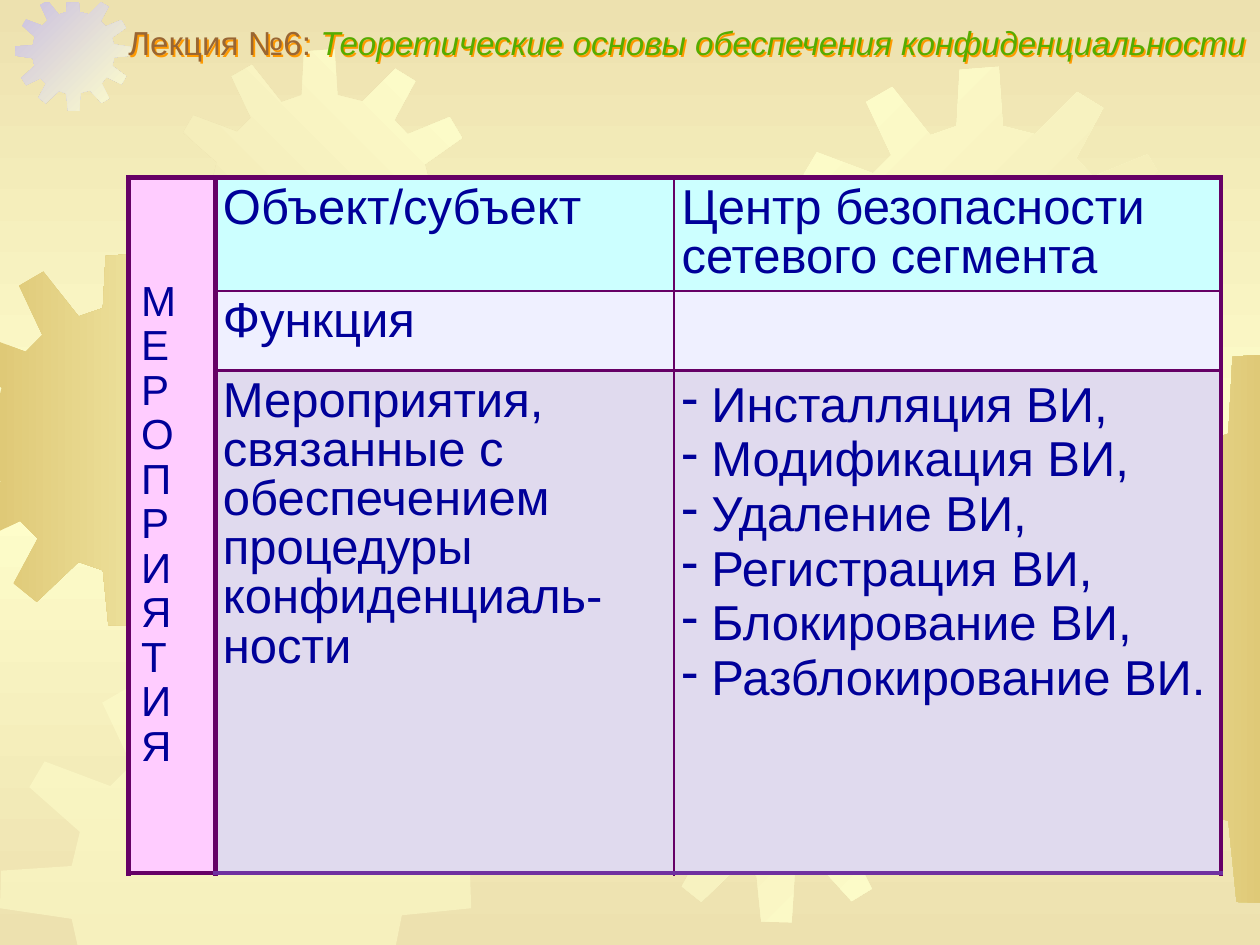
from copy import deepcopy

from lxml import etree
from pptx import Presentation
from pptx.dml.color import RGBColor
from pptx.enum.text import MSO_ANCHOR, PP_ALIGN
from pptx.oxml.ns import qn
from pptx.util import Inches, Pt

MIDDLE, TOP = MSO_ANCHOR.MIDDLE, MSO_ANCHOR.TOP
LEFT = PP_ALIGN.LEFT
CREAM, SAND, GOLD, LILAC = "FFFFCC", "EDE1AF", "DFC977", "CAC0E2"
PLUM, VIOLET, NAVY = "660066", "7030A0", "000099"
BOUNDS = ((0, 0, 1), (0, 10, -1), (1, 0.02, 1), (1, 7.5, -1))
SPAN = 401
TEETH = [
    (255, 67), (223, 59), (219, 0), (180, 3), (177, 59), (151, 68), (113, 20), (87, 35),
    (112, 88), (94, 106), (38, 85), (25, 107), (68, 145), (61, 174), (1, 178), (0, 210),
    (61, 219), (67, 246), (22, 287), (38, 312), (88, 288), (107, 307), (81, 355), (106, 375),
    (151, 332), (177, 341), (183, 400), (222, 401), (226, 339), (259, 330), (299, 374), (325, 358),
    (299, 306), (316, 284), (368, 309), (384, 281), (336, 246), (342, 216), (401, 210), (400, 180),
    (341, 171), (335, 148), (383, 114), (367, 87), (313, 109), (296, 91), (323, 41), (297, 25),
]
GEARS = [
    (-0.49, 2.01, 2.96, (GOLD, CREAM), 0),
    (0.12, -0.04, 0.92, (LILAC, CREAM), 45),
    (1.3, 0.39, 2.48, (SAND, CREAM), 315),
    (2.77, 1.39, 4.01, (CREAM, SAND), 45),
    (0, 5.25, 3.74, (CREAM,), 0),
    (4.91, 4.84, 2.48, (SAND, CREAM), 45),
    (6.18, 0.53, 3.2, (CREAM, SAND), 45),
    (7.82, 2.8, 4.37, (CREAM, GOLD), 0),
]
COLS, ROWS = (0.69, 3.64, 4.34), (0.9, 0.63, 3.99)
FILLS = ("CCFFFF", "EFF0FF", "E0DAEE")
CELLS = [
    ("Объект/субъект", "Центр безопасности сетевого сегмента"),
    ("Функция", ""),
    ("Мероприятия, связанные с обеспечением процедуры конфиденциаль-ности", ""),
]
TASKS = ("Инсталляция", "Модификация", "Удаление", "Регистрация", "Блокирование", "Разблокирование")


def tint(code):
    return RGBColor.from_string(code)


def clip(points, axis, edge, sign):
    kept = []
    for a, b in zip(points, points[1:] + points[:1]):
        da, db = (sign * (p[axis] - edge) for p in (a, b))
        if da >= 0:
            kept.append(a)
        if da * db < 0:
            t = da / (da - db)
            kept.append(tuple(u + t * (v - u) for u, v in zip(a, b)))
    return kept


class Deck:
    """Hold the text style and the current slide, and draw each kind of element."""

    def __init__(self, font):
        self.font = font
        self.show = Presentation()
        self.show.slide_width, self.show.slide_height = Inches(10), Inches(7.5)
        self.slide = self.show.slides.add_slide(self.show.slide_layouts[6])

    def blend(self, fill, node, codes, angle):
        fill.gradient()
        fill.gradient_angle = (360 - angle) % 360
        stops = next(node.iter(qn("a:gsLst")))
        while len(stops) < len(codes):
            stops.append(deepcopy(stops[0]))
        for i, (stop, code) in enumerate(zip(fill.gradient_stops, codes)):
            stop.color.rgb = tint(code)
            stop.position = i / (len(codes) - 1)

    def ground(self, codes, angle):
        self.blend(self.slide.background.fill, self.slide.element, codes, angle)

    def gear(self, left, top, size, codes, angle):
        points = [(left + x * size / SPAN, top + y * size / SPAN) for x, y in TEETH]
        for bound in BOUNDS:
            points = clip(points, *bound)
        spots = [(Inches(x), Inches(y)) for x, y in points]
        form = self.slide.shapes.build_freeform(*spots[0])
        form.add_line_segments(spots[1:], close=True)
        shape = form.convert_to_shape()
        shape.shadow.inherit = False
        shape.line.fill.background()
        if len(codes) > 1:
            self.blend(shape.fill, shape.element, codes, angle)
            return
        shape.fill.solid()
        shape.fill.fore_color.rgb = tint(codes[0])
        color = next(shape.element.spPr.iter(qn("a:srgbClr")))
        etree.SubElement(color, qn("a:alpha"), val="50000")

    def text(self, frame, lines, size, space, mark=None):
        for i, runs in enumerate(lines):
            para = frame.paragraphs[0] if i == 0 else frame.add_paragraph()
            para.alignment, para.line_spacing = LEFT, space
            if mark:
                etree.SubElement(para._p.get_or_add_pPr(), qn("a:buChar"), char=mark)
            for words, code, slant in runs:
                run = para.add_run()
                run.text = words
                run.font.name, run.font.size = self.font, Pt(size)
                run.font.italic = slant
                run.font.color.rgb = tint(code)

    def title(self, left, top, width, height, runs, size, shade):
        box = self.slide.shapes.add_textbox(*map(Inches, (left, top, width, height)))
        frame = box.text_frame
        frame.word_wrap, frame.vertical_anchor = True, MIDDLE
        frame.margin_left = Inches(0.15)
        frame.margin_right = frame.margin_top = frame.margin_bottom = 0
        self.text(frame, [runs], size, 0.9)
        effect = etree.SubElement(box.element.spPr, qn("a:effectLst"))
        cast = etree.SubElement(effect, qn("a:outerShdw"), dist=str(Pt(1.4)), dir="2700000")
        etree.SubElement(cast, qn("a:srgbClr"), val=shade)

    def table(self, left, top, cols, rows):
        area = map(Inches, (left, top, sum(cols), sum(rows)))
        grid = self.slide.shapes.add_table(len(rows), len(cols), *area).table
        grid.first_row = grid.horz_banding = False
        for col, width in zip(grid.columns, cols):
            col.width = Inches(width)
        for row, height in zip(grid.rows, rows):
            row.height = Inches(height)
        return grid

    def cell(self, cell, fill, edges, lines, size, space, pads, anchor=TOP, mark=None):
        props = cell._tc.get_or_add_tcPr()
        for side, (code, width) in zip("LRTB", edges):
            line = etree.SubElement(props, qn("a:ln" + side), w=str(Pt(width)))
            paint = etree.SubElement(line, qn("a:solidFill"))
            etree.SubElement(paint, qn("a:srgbClr"), val=code)
        cell.fill.solid()
        cell.fill.fore_color.rgb = tint(fill)
        cell.margin_left = cell.margin_right = Inches(pads[0])
        cell.margin_top = cell.margin_bottom = Inches(pads[1])
        cell.vertical_anchor = anchor
        self.text(cell.text_frame, lines, size, space, mark)


def main():
    deck = Deck("Arial")
    deck.ground((SAND, CREAM, SAND), 90)
    for gear in GEARS:
        deck.gear(*gear)

    grid = deck.table(1.02, 1.41, COLS, ROWS)
    grid.cell(0, 0).merge(grid.cell(2, 0))
    thick, thin = (PLUM, 3), (PLUM, 1.5)
    for r, texts in enumerate(CELLS):
        word = [[(sign, NAVY, False)] for sign in "МЕРОПРИЯТИЯ"] if r == 0 else []
        deck.cell(grid.cell(r, 0), "FFCCFF", [thick] * 4, word, 24, 0.95, (0.1, 0.05), MIDDLE)
        for c, text in enumerate(texts, 1):
            edges = (
                thick if c == 1 else thin,
                thick if c == 2 else thin,
                thick if r == 0 else thin,
                (VIOLET, 3) if r == 2 else thin,
            )
            lines, space, mark = [[(text, NAVY, False)]] if text else [], 0.9, None
            if (r, c) == (2, 2):
                ends = [","] * (len(TASKS) - 1) + ["."]
                lines = [[(f" {task} ВИ{end}", NAVY, False)] for task, end in zip(TASKS, ends)]
                space, mark = 1.0, "-"
            deck.cell(grid.cell(r, c), FILLS[r], edges, lines, 28, space, (0.06, 0.06), TOP, mark)

    runs = [
        ("Лекция №6: ", "996633", False),
        ("Теоретические основы обеспечения конфиденциальности", "56AC00", True),
    ]
    deck.title(0.87, 0.21, 9.13, 0.29, runs, 19, "FF9900")
    deck.show.save("out.pptx")


if __name__ == "__main__":
    main()
